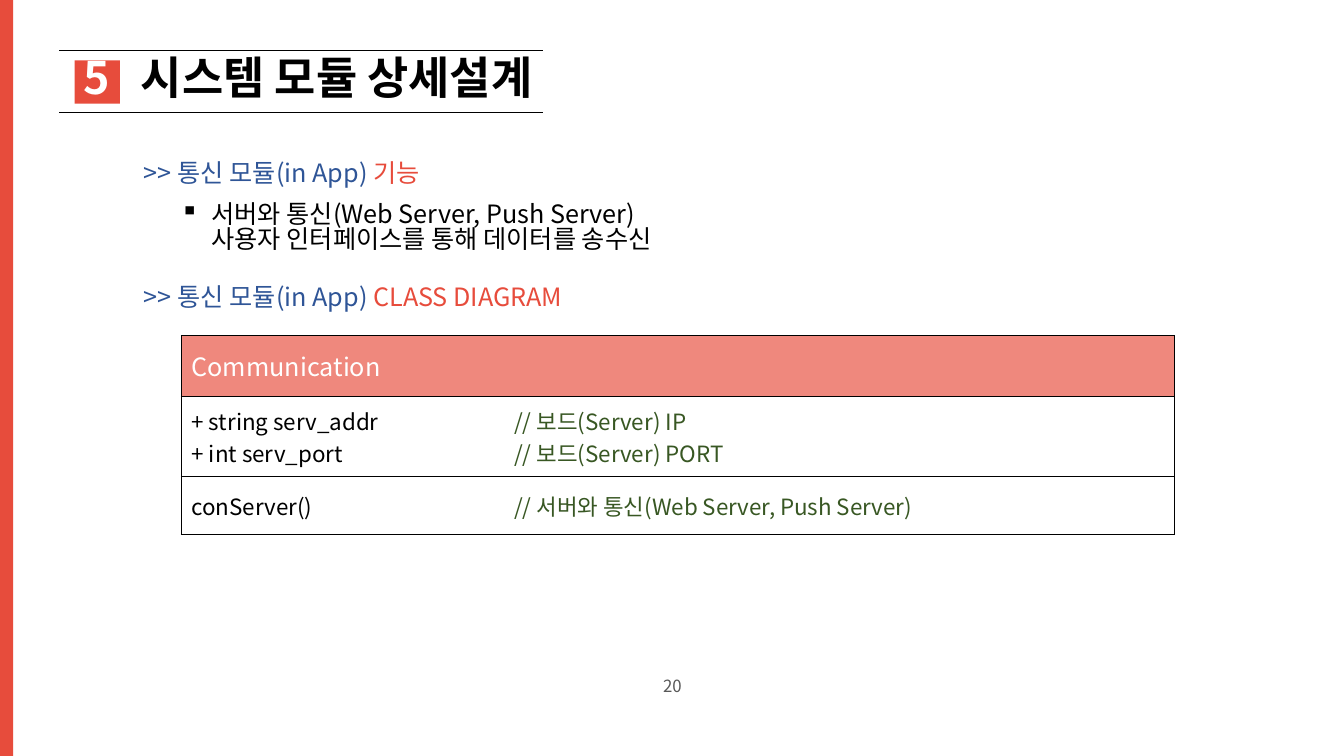
from lxml import etree
from pptx import Presentation
from pptx.dml.color import RGBColor
from pptx.enum.shapes import MSO_CONNECTOR, MSO_SHAPE
from pptx.enum.text import MSO_ANCHOR, PP_ALIGN
from pptx.oxml.ns import qn
from pptx.util import Inches, Pt

LINE = MSO_CONNECTOR.STRAIGHT
RECTANGLE = MSO_SHAPE.RECTANGLE
MIDDLE = MSO_ANCHOR.MIDDLE
CENTER = PP_ALIGN.CENTER
FONT = "Noto Sans CJK KR"
COLORS = {
    "red": "E74C3C", "salmon": "EF887D", "blue": "2F5597", "green": "385723",
    "gray": "595959", "black": "000000", "white": "FFFFFF",
}


def color(name):
    return RGBColor.from_string(COLORS[name])


def write(paragraph, spans, size, tab=None, bullet=None, spacing=None, bold=False):
    """Fill a paragraph with (text, colour) spans; tab is a stop in inches."""
    properties = paragraph._p.get_or_add_pPr()
    if spacing:
        paragraph.line_spacing = spacing
    if bullet:
        properties.set("marL", str(Inches(0.31)))
        properties.set("indent", str(Inches(-0.31)))
        etree.SubElement(properties, qn("a:buChar")).set("char", bullet)
    if tab:
        stops = etree.SubElement(properties, qn("a:tabLst"))
        stop = etree.SubElement(stops, qn("a:tab"))
        stop.set("pos", str(Inches(tab)))
        stop.set("algn", "l")
    paragraph.font.name = FONT
    paragraph.font.size = Pt(size)
    paragraph.font.bold = bold
    east_asian = etree.SubElement(properties.find(qn("a:defRPr")), qn("a:ea"))
    east_asian.set("typeface", FONT)
    for text, name in spans:
        for number, line in enumerate(text.split("\n")):
            if number:
                paragraph.add_line_break()
            span = paragraph.add_run()
            span.text = line
            span.font.color.rgb = color(name)


deck = Presentation()
deck.slide_width, deck.slide_height = Inches(13.33), Inches(7.5)
page = deck.slides.add_slide(deck.slide_layouts[6])

# Side bar and number tile
for left, top, width, height in [(-0.03, 0, 0.16, 7.5), (0.74, 0.6, 0.45, 0.43)]:
    block = page.shapes.add_shape(
        RECTANGLE, Inches(left), Inches(top), Inches(width), Inches(height))
    block.shadow.inherit = False
    block.fill.solid()
    block.fill.fore_color.rgb = color("red")
    block.line.fill.background()

# Rules above and below the title
for top in (0.5, 1.11):
    rule = page.shapes.add_connector(
        LINE, Inches(0.59), Inches(top), Inches(5.39), Inches(top))
    rule.line.color.rgb = color("black")
    rule.line.width = Pt(0.5)
    etree.SubElement(rule._element.spPr, qn("a:effectLst"))

# Title, headings, bullet and page number
module = ">> 통신 모듈(in App) "
texts = [
    (0.73, 0.5, 5.46, 0.64, [("5\t", "white"), ("시스템 모듈 상세설계", "black")],
     {"size": 32, "bold": True, "tab": 0.57, "spacing": 0.9}),
    (1.33, 1.56, 5.86, 0.4, [(module, "blue"), ("기능", "red")],
     {"size": 18, "spacing": 0.83}),
    (1.69, 1.97, 8.16, 0.71,
     [("서버와 통신(Web Server, Push Server)\n사용자 인터페이스를 통해 데이터를 송수신", "black")],
     {"size": 18, "spacing": 0.83, "bullet": "▪"}),
    (1.33, 2.79, 5.86, 0.4, [(module, "blue"), ("CLASS DIAGRAM", "red")],
     {"size": 18, "spacing": 0.83}),
    (5.17, 6.6, 3, 0.4, [("20", "gray")], {"size": 12}),
]
for left, top, width, height, spans, style in texts:
    box = page.shapes.add_textbox(
        Inches(left), Inches(top), Inches(width), Inches(height))
    box.text_frame.word_wrap = True
    write(box.text_frame.paragraphs[0], spans, **style)
page_number = box.text_frame
page_number.vertical_anchor = MIDDLE
page_number.paragraphs[0].alignment = CENTER

# Class diagram: name, attributes, methods
class_rows = [
    (0.6, "salmon", 18, [[("Communication", "white")]]),
    (0.8, "white", 16, [
        [("+ string serv_addr\t", "black"), ("// 보드(Server) IP", "green")],
        [("+ int serv_port\t", "black"), ("// 보드(Server) PORT", "green")],
    ]),
    (0.57, "white", 16, [
        [("conServer()\t", "black"),
         ("// 서버와 통신(Web Server, Push Server)", "green")],
    ]),
]
table = page.shapes.add_table(
    len(class_rows), 1, Inches(1.8), Inches(3.33), Inches(9.85), Inches(1.97)).table
table.first_row = table.horz_banding = False
for index, (height, fill, size, lines) in enumerate(class_rows):
    table.rows[index].height = Inches(height)
    cell = table.cell(index, 0)
    cell.vertical_anchor = MIDDLE
    for side in ("a:lnL", "a:lnR", "a:lnT", "a:lnB"):
        border = etree.SubElement(cell._tc.get_or_add_tcPr(), qn(side))
        border.set("w", str(Pt(1)))
        paint = etree.SubElement(border, qn("a:solidFill"))
        etree.SubElement(paint, qn("a:srgbClr")).set("val", COLORS["black"])
    cell.fill.solid()
    cell.fill.fore_color.rgb = color(fill)
    frame = cell.text_frame
    for number, spans in enumerate(lines):
        paragraph = frame.add_paragraph() if number else frame.paragraphs[0]
        write(paragraph, spans, size, tab=3.2 if len(spans) > 1 else None)

deck.save("out.pptx")
